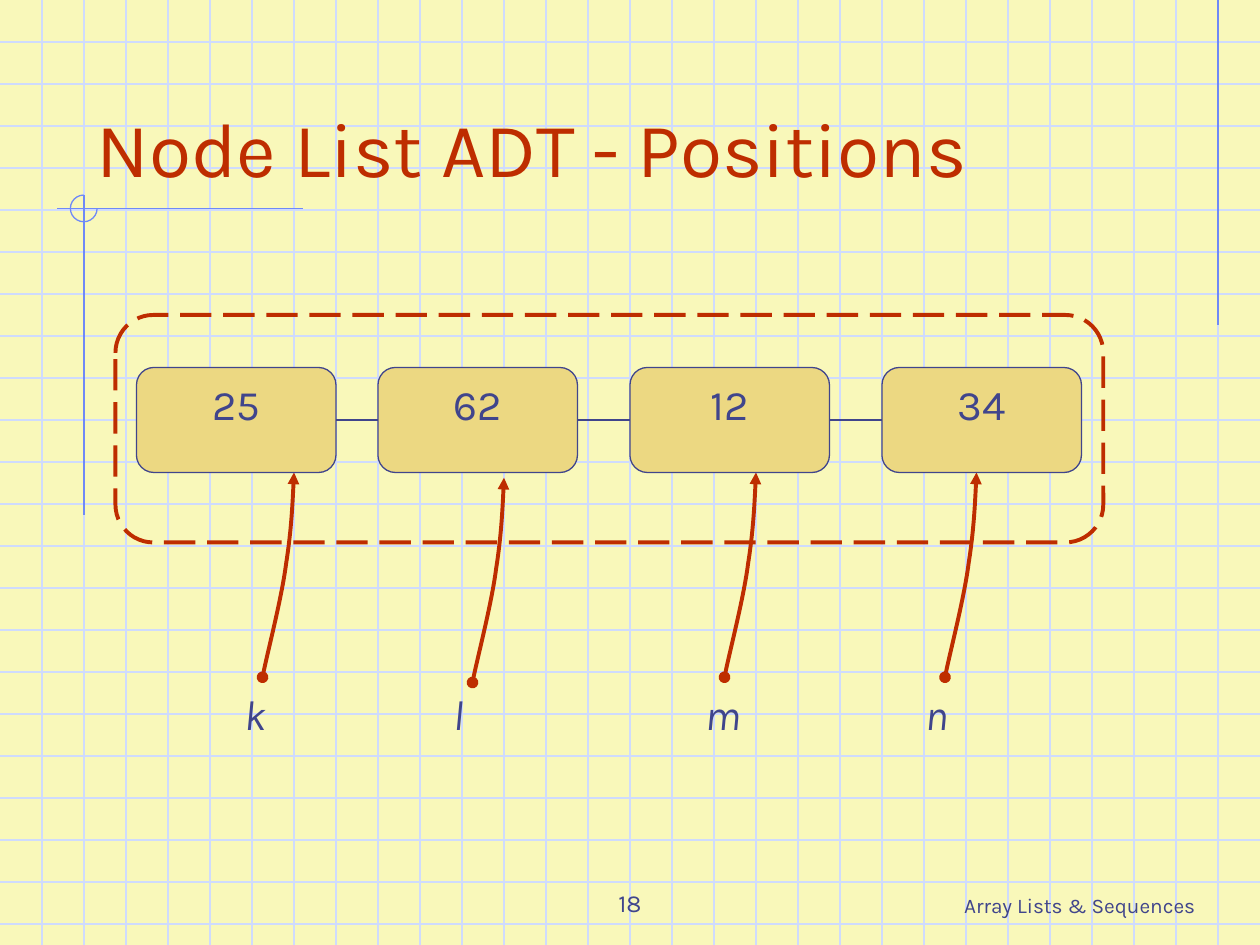
"""Build the "Node List ADT - Positions" slide: four linked nodes and their positions."""
from lxml import etree
from pptx import Presentation
from pptx.dml.color import RGBColor
from pptx.enum.dml import MSO_LINE
from pptx.enum.shapes import MSO_CONNECTOR, MSO_SHAPE
from pptx.enum.text import MSO_ANCHOR, PP_ALIGN
from pptx.oxml.ns import qn
from pptx.util import Pt

STRAIGHT = MSO_CONNECTOR.STRAIGHT
ROUNDED, ARC = MSO_SHAPE.ROUNDED_RECTANGLE, MSO_SHAPE.ARC
LONG_DASH = MSO_LINE.LONG_DASH
TOP, BOTTOM = MSO_ANCHOR.TOP, MSO_ANCHOR.BOTTOM
LEFT, CENTER, RIGHT = PP_ALIGN.LEFT, PP_ALIGN.CENTER, PP_ALIGN.RIGHT

COLORS = {
    "paper": "F9F8BA",
    "grid": "CFDBFD",
    "guide": "6F89F7",
    "ink": "40458C",
    "accent": "BE2D00",
    "node": "ECD882",
}
W, H, STEP = 720, 540, 24


def add_line(x1, y1, x2, y2, color):
    c = s.shapes.add_connector(STRAIGHT, Pt(x1), Pt(y1), Pt(x2), Pt(y2))
    c.line.color.rgb = RGBColor.from_string(COLORS[color])
    c.line.width = Pt(0.75)
    etree.SubElement(c._element.spPr, qn("a:effectLst"))
    return c


def write(shape, text, size, align, anchor, color="ink", wrap=True, italic=False):
    tf = shape.text_frame
    tf.word_wrap = wrap
    tf.vertical_anchor = anchor
    p = tf.paragraphs[0]
    p.text = text
    p.alignment = align
    p.font.name = "Karla"
    p.font.size = Pt(size)
    p.font.italic = italic
    p.font.color.rgb = RGBColor.from_string(COLORS[color])


prs = Presentation()
prs.slide_width, prs.slide_height = Pt(W), Pt(H)
s = prs.slides.add_slide(prs.slide_layouts[5])
s.background.fill.solid()
s.background.fill.fore_color.rgb = RGBColor.from_string(COLORS["paper"])

for y in range(STEP, H, STEP):
    add_line(0, y, W, y, "grid")
for x in range(STEP, W, STEP):
    add_line(x, 0, x, H, "grid")

add_line(696, 0, 696, 186, "guide")
add_line(173, 119.25, 32.5, 119.25, "guide")
add_line(48, 111.5, 48, 294.5, "guide")
arc = s.shapes.add_shape(ARC, Pt(40.25), Pt(111.5), Pt(15.25), Pt(15.25))
arc.shadow.inherit = False
arc.adjustments[0], arc.adjustments[1] = 0, 162
arc.fill.background()
arc.line.color.rgb = RGBColor.from_string(COLORS["guide"])
arc.line.width = Pt(0.75)

for text, left, width, size, align in [
    ("Array Lists & Sequences", 540, 150, 11.9, RIGHT),
    ("18", 246, 228, 14, CENTER),
]:
    box = s.shapes.add_textbox(Pt(left), Pt(492), Pt(width), Pt(36))
    write(box, text, size, align, BOTTOM)

title = s.shapes.title
title.left, title.top, title.width, title.height = Pt(48), Pt(24), Pt(612), Pt(90)
write(title, "Node List ADT - Positions", 44, LEFT, BOTTOM, "accent")
s.shapes._spTree.append(title._element)

frame = s.shapes.add_shape(ROUNDED, Pt(66), Pt(180), Pt(564.5), Pt(130))
frame.shadow.inherit = False
frame.fill.background()
frame.line.color.rgb = RGBColor.from_string(COLORS["accent"])
frame.line.width = Pt(2.25)
frame.line.dash_style = LONG_DASH

CURVE = [(2, -11), (11, -45.5), (13.5, -65), (16.5, -84), (17.5, -106), (18, -117)]
for x, y in [(150, 387), (270, 390), (414, 387), (540, 387)]:
    fb = s.shapes.build_freeform(Pt(x), Pt(y))
    fb.add_line_segments([(Pt(x + dx), Pt(y + dy)) for dx, dy in CURVE], close=False)
    arrow = fb.convert_to_shape()
    arrow.shadow.inherit = False
    arrow.fill.background()
    arrow.line.color.rgb = RGBColor.from_string(COLORS["accent"])
    arrow.line.width = Pt(2.25)
    ln = arrow.line._get_or_add_ln()
    etree.SubElement(ln, qn("a:headEnd"), type="oval")
    etree.SubElement(ln, qn("a:tailEnd"), type="triangle")
    outline = arrow._element.spPr.find(".//" + qn("a:path"))
    segments = outline.findall(qn("a:lnTo"))
    for i in (0, 3):
        bezier = etree.SubElement(outline, qn("a:cubicBezTo"))
        for segment in segments[i:i + 3]:
            bezier.append(segment[0])
            outline.remove(segment)

nodes = []
for value, left in [("25", 78), ("62", 216), ("12", 360), ("34", 504)]:
    node = s.shapes.add_shape(ROUNDED, Pt(left), Pt(210), Pt(114), Pt(60))
    node.shadow.inherit = False
    node.fill.solid()
    node.fill.fore_color.rgb = RGBColor.from_string(COLORS["node"])
    node.line.color.rgb = RGBColor.from_string(COLORS["ink"])
    node.line.width = Pt(0.75)
    write(node, value, 24, CENTER, TOP, wrap=False)
    nodes.append(node)

for before, after in zip(nodes, nodes[1:]):
    link = add_line(0, 240, 0, 240, "ink")
    link.begin_connect(before, 3)
    link.end_connect(after, 1)

for name, left, width in [("k", 132.5, 26), ("l", 252, 20), ("m", 396, 35), ("n", 522, 28)]:
    label = s.shapes.add_textbox(Pt(left), Pt(390), Pt(width), Pt(36))
    write(label, name, 24, LEFT, TOP, wrap=False, italic=True)

prs.save("out.pptx")
